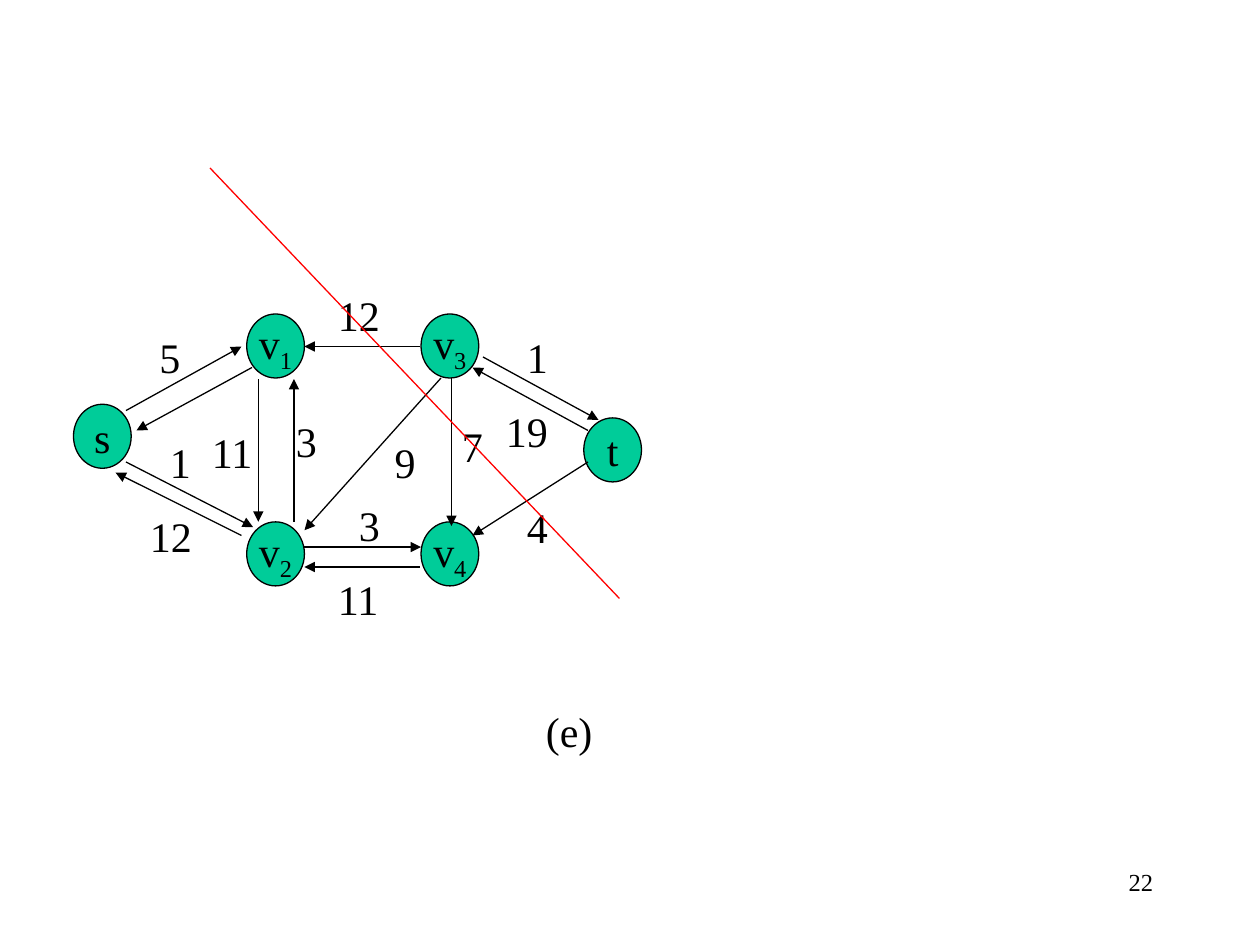
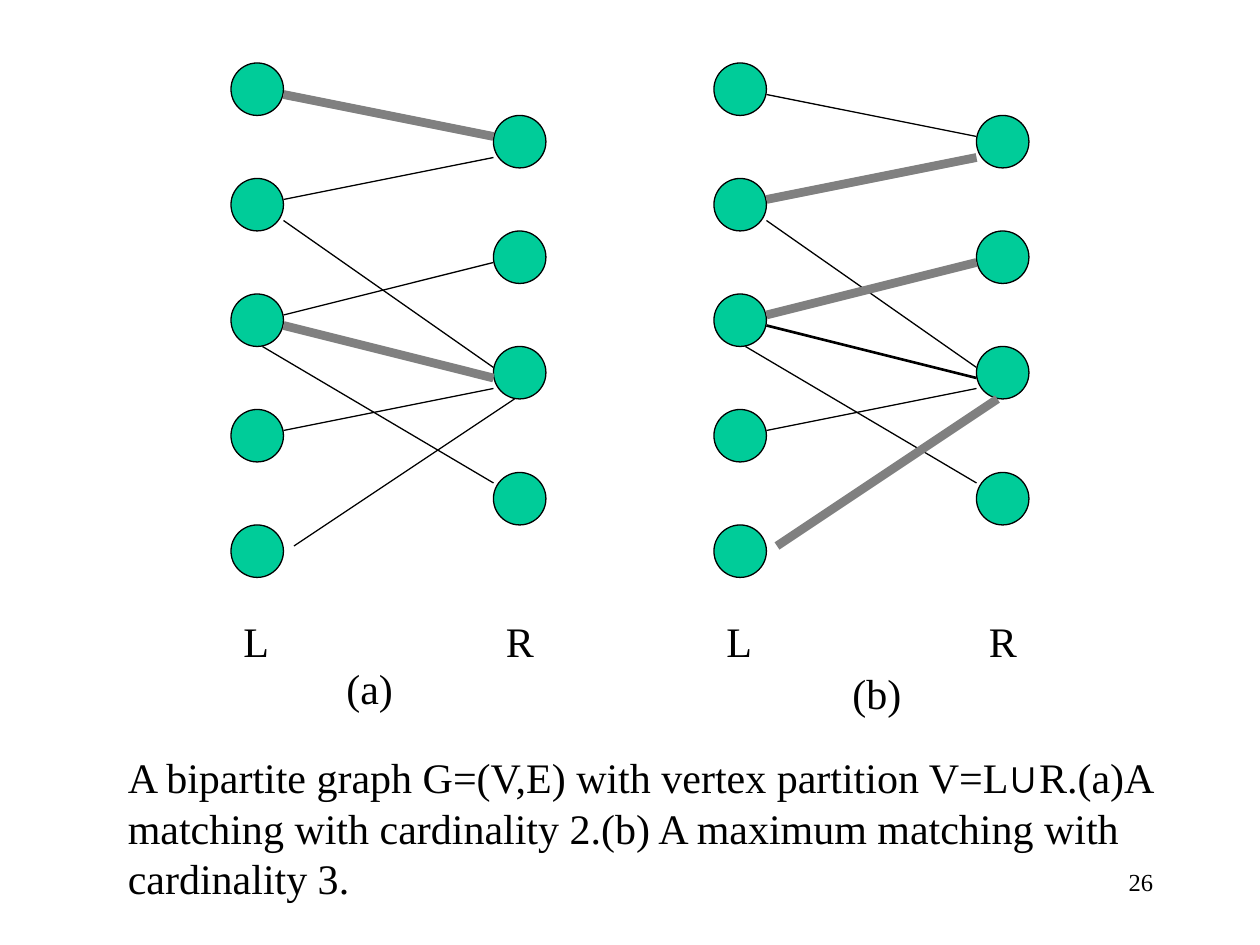
from lxml import etree
from pptx import Presentation
from pptx.dml.color import RGBColor
from pptx.enum.shapes import MSO_CONNECTOR, MSO_SHAPE
from pptx.enum.text import MSO_ANCHOR, PP_ALIGN
from pptx.oxml.ns import qn
from pptx.util import Inches, Pt

OVAL = MSO_SHAPE.OVAL
STRAIGHT = MSO_CONNECTOR.STRAIGHT
MIDDLE = MSO_ANCHOR.MIDDLE
LEFT, CENTER, RIGHT = PP_ALIGN.LEFT, PP_ALIGN.CENTER, PP_ALIGN.RIGHT

BLACK = RGBColor(0x00, 0x00, 0x00)
GREEN = RGBColor(0x00, 0xCC, 0x99)
GRAY = RGBColor(0x80, 0x80, 0x80)
RED = RGBColor(0xFF, 0x00, 0x00)

FONT, SYMBOL_FONT = "Times New Roman", "Arial"
THIN, MEDIUM, THICK = 0.75, 1.5, 5

COLUMNS, ROWS = 120, 90
CELL = Inches(10) // COLUMNS
TEXT_ROWS = 6

# Flow network: cells from the top left corner of the figure
NODE_SIZE = (5.5, 6.1)
NODES = {
    "s": (0, 11.5), "v1": (16.5, 2.9), "v2": (16.5, 22.7),
    "v3": (33.1, 2.9), "v4": (33.1, 22.7), "t": (48.6, 12.8),
}
# Start, end, capacity and the capacity's place (None for an unlabelled arrow)
FLOWS = [
    ((5, 12.1), (16, 6), "5", (7, 4)),
    ((17, 8), (6, 14), None, None),
    ((5, 17), (17.1, 23.2), "1", (8, 14)),
    ((16, 24), (4, 18), "12", (6.1, 21)),
    ((17.6, 9.1), (17.6, 22.7), "11", (12, 13)),
    ((21, 22.7), (21, 9.1), "3", (20, 12)),
    ((33, 6), (22, 6), "12", (24, 0)),
    ((35, 9), (22, 23.5), "9", (29.4, 14)),
    ((36, 9), (36, 23.1), "7", (35.8, 12.5)),
    ((22, 25.1), (33.1, 25.1), "3", (26, 20)),
    ((33, 27), (22, 27), "11", (24, 27)),
    ((39, 7), (50, 13), "1", (42, 4)),
    ((49, 14), (38, 8), "19", (40, 11)),
    ((49, 17), (38, 24), "4", (42, 20.2)),
]

# Bipartite graph: cells from the top left corner of the panel
VERTEX_SIZE = (5, 5)
R_COLUMN = 25
L_ROWS = [11 * i for i in range(5)]
R_ROWS = [5, 16, 27, 39]
EDGES = [
    ((5, 3), (25, 7)), ((5, 13), (25, 9)), ((5, 15), (25, 29)),
    ((5, 24), (25, 19)), ((5, 25), (25, 30)), ((3, 27), (25, 40)),
    ((5, 35), (25, 31)), ((6, 46), (27, 32)),
]


def cells(n):
    return round(n * CELL)


def shift(origin, point):
    return origin[0] + point[0], origin[1] + point[1]


def add_run(p, text, size=24, font=FONT):
    r = p.add_run()
    r.text = text
    r.font.name = font
    r.font.size = Pt(size)
    r.font.color.rgb = BLACK
    return r


def add_text(s, at, width, runs, height=TEXT_ROWS, wrap=False, align=LEFT, size=24):
    """Add a one-paragraph box; runs is a list of (text, font) pairs."""
    box = s.shapes.add_textbox(*map(cells, (*at, width, height)))
    tf = box.text_frame
    tf.word_wrap = wrap
    p = tf.paragraphs[0]
    p.alignment = align
    for text, font in runs:
        add_run(p, text, size, font)


def add_line(s, start, end, color=BLACK, width=THIN, arrow=False):
    line = s.shapes.add_connector(STRAIGHT, *map(cells, (*start, *end)))
    line.line.color.rgb = color
    line.line.width = Pt(width)
    if arrow:
        ln = line.line._get_or_add_ln()
        etree.SubElement(ln, qn("a:tailEnd"), type="triangle")
    etree.SubElement(line._element.spPr, qn("a:effectLst"))


def add_node(s, at, size, name=""):
    """Add a green oval; any characters after the first become a subscript."""
    node = s.shapes.add_shape(OVAL, *map(cells, (*at, *size)))
    node.shadow.inherit = False
    node.fill.solid()
    node.fill.fore_color.rgb = GREEN
    node.line.color.rgb = BLACK
    node.line.width = Pt(THIN)
    if name:
        tf = node.text_frame
        tf.word_wrap = False
        tf.vertical_anchor = MIDDLE
        p = tf.paragraphs[0]
        p.alignment = CENTER
        add_run(p, name[0])
        if name[1:]:
            r = add_run(p, name[1:])
            r.font._element.set("baseline", "-25000")


def add_slide(prs, number):
    s = prs.slides.add_slide(prs.slide_layouts[6])
    add_text(s, (86, 82), 25, [(str(number), FONT)], wrap=True, align=RIGHT, size=14)
    return s


def flow_network(s, origin):
    for name, at in NODES.items():
        add_node(s, shift(origin, at), NODE_SIZE, name)
    for start, end, capacity, at in FLOWS:
        add_line(s, shift(origin, start), shift(origin, end), arrow=True)
        if capacity:
            width = 2.4 + 2 * len(capacity)
            add_text(s, shift(origin, at), width, [(capacity, FONT)])


def bipartite_panel(s, origin, styles, caption, caption_at, caption_width):
    """Draw both vertex columns; styles maps an edge's index to (colour, width)."""
    for column, rows, name in ((0, L_ROWS, "L"), (R_COLUMN, R_ROWS, "R")):
        for row in rows:
            add_node(s, shift(origin, (column, row)), VERTEX_SIZE)
        add_text(s, shift(origin, (column, 52)), 5, [(name, FONT)], wrap=True)
    for i, (start, end) in enumerate(EDGES):
        color, width = styles.get(i, (BLACK, THIN))
        add_line(s, shift(origin, start), shift(origin, end), color, width)
    add_text(s, shift(origin, caption_at), caption_width, [(caption, FONT)])


def flow_slide(prs):
    s = add_slide(prs, 22)
    flow_network(s, (7, 27))
    add_text(s, (50.8, 66.6), 6.8, [("(e)", FONT)])
    add_line(s, (20, 16), (59, 57), RED)


def matching_slide(prs):
    s = add_slide(prs, 26)
    matched = (GRAY, THICK)
    bipartite_panel(s, (22, 6), {0: matched, 4: matched}, "(a)", (9.8, 56.5), 6.8)
    bipartite_panel(s, (68, 6),
                    {1: matched, 3: matched, 4: (BLACK, MEDIUM), 7: matched},
                    "(b)", (12, 57), 7.1)
    add_text(s, (11, 71), 102, [
        ("A bipartite graph G=(V,E) with vertex partition V=L", FONT),
        ("∪", SYMBOL_FONT),
        ("R.(a)A matching with cardinality 2.(b) A maximum matching with "
         "cardinality 3.", FONT),
    ], height=15.6, wrap=True)


def main():
    prs = Presentation()
    prs.slide_width, prs.slide_height = cells(COLUMNS), cells(ROWS)
    flow_slide(prs)
    matching_slide(prs)
    prs.save("out.pptx")


if __name__ == "__main__":
    main()
